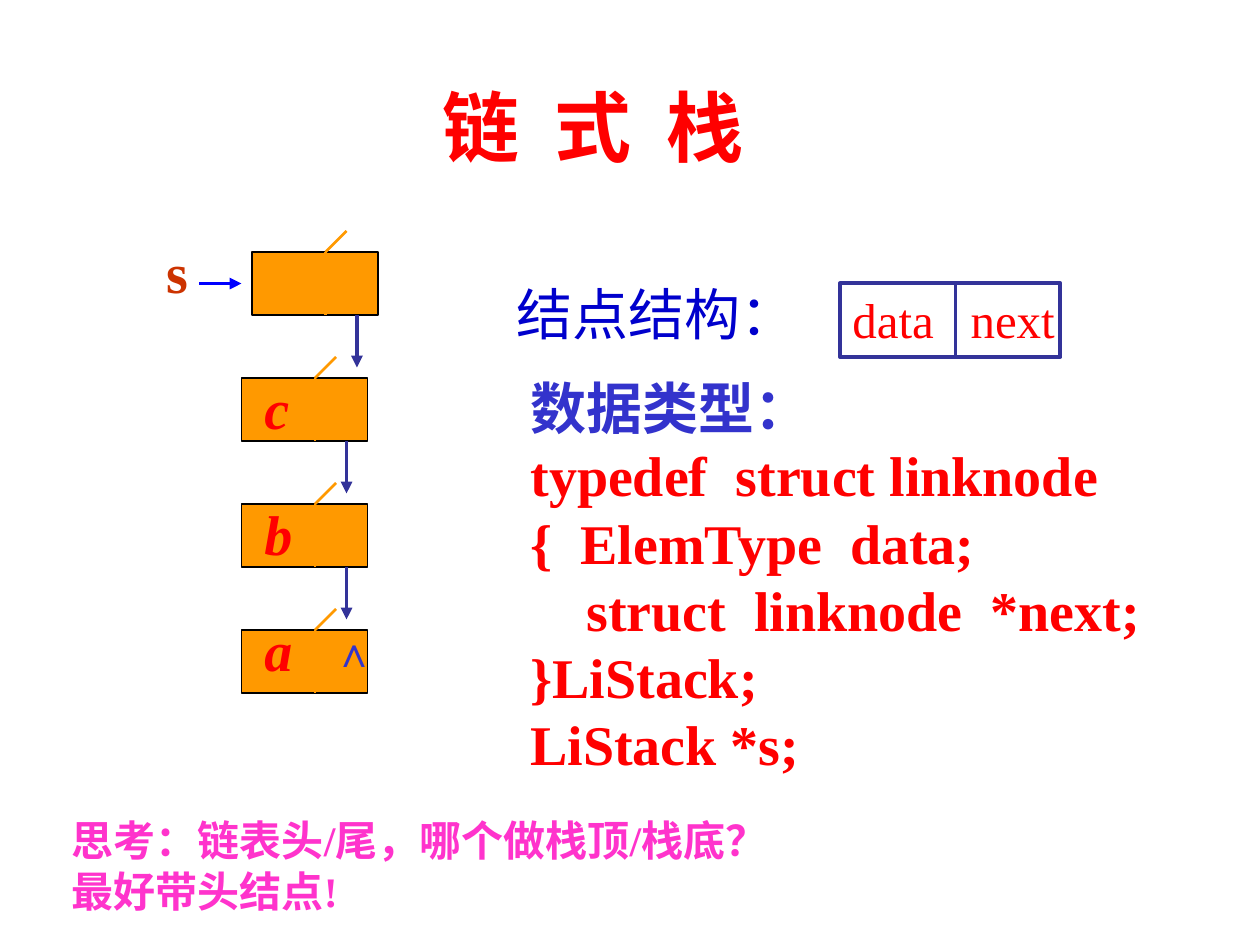
from pptx import Presentation
from pptx.dml.color import RGBColor
from pptx.enum.shapes import MSO_CONNECTOR, MSO_SHAPE
from pptx.enum.text import MSO_ANCHOR, PP_ALIGN
from pptx.oxml.ns import qn
from pptx.util import Pt
from lxml import etree

RECTANGLE = MSO_SHAPE.RECTANGLE
STRAIGHT = MSO_CONNECTOR.STRAIGHT
MIDDLE = MSO_ANCHOR.MIDDLE
CENTER = PP_ALIGN.CENTER

RED = RGBColor(0xFF, 0x00, 0x00)
MAGENTA = RGBColor(0xFF, 0x33, 0xCC)
MEDIUM_BLUE = RGBColor(0x00, 0x00, 0xCC)
BRIGHT_BLUE = RGBColor(0x00, 0x00, 0xFF)
INDIGO = RGBColor(0x33, 0x33, 0xCC)
NAVY = RGBColor(0x33, 0x33, 0x99)
RUST = RGBColor(0xCC, 0x33, 0x00)
ORANGE = RGBColor(0xFF, 0x99, 0x00)
BLACK = RGBColor(0x00, 0x00, 0x00)

SERIF = "Times New Roman"
SANS = "Arial"
CHINESE = "Noto Sans CJK SC"


def format_paragraph(paragraph, size, color, name=SERIF, bold=False, italic=False):
    font = paragraph.font
    font.size, font.name = Pt(size), name
    font.bold, font.italic = bold, italic
    font.color.rgb = color
    # East Asian typeface follows the Latin one
    latin = paragraph._p.pPr.find(qn("a:defRPr")).find(qn("a:latin"))
    east_asian = etree.Element(qn("a:ea"), typeface=CHINESE)
    latin.addnext(east_asian)


def add_text(slide, left, top, width, height, lines, size, color, **style):
    box = slide.shapes.add_textbox(Pt(left), Pt(top), Pt(width), Pt(height))
    frame = box.text_frame
    frame.word_wrap = True
    frame.text = "\n".join(lines)
    for paragraph in frame.paragraphs:
        format_paragraph(paragraph, size, color, **style)
    return frame


def add_line(slide, x1, y1, x2, y2, color, width, arrow=False):
    connector = slide.shapes.add_connector(STRAIGHT, Pt(x1), Pt(y1), Pt(x2), Pt(y2))
    connector.line.color.rgb = color
    connector.line.width = Pt(width)
    if arrow:
        etree.SubElement(connector.line._get_or_add_ln(), qn("a:tailEnd"), type="triangle")
    etree.SubElement(connector._element.spPr, qn("a:effectLst"))


def add_rectangle(slide, left, top, width, height, line_color, line_width, fill=None):
    shape = slide.shapes.add_shape(RECTANGLE, Pt(left), Pt(top), Pt(width), Pt(height))
    shape.shadow.inherit = False
    if fill is None:
        shape.fill.background()
    else:
        shape.fill.solid()
        shape.fill.fore_color.rgb = fill
    shape.line.color.rgb = line_color
    shape.line.width = Pt(line_width)


def place_title(slide, left, top, width, height):
    title = slide.shapes.title
    title.left, title.top, title.width, title.height = map(Pt, (left, top, width, height))
    frame = title.text_frame
    frame.text = "链 式 栈"
    frame.vertical_anchor = MIDDLE
    paragraph = frame.paragraphs[0]
    paragraph.alignment = CENTER
    format_paragraph(paragraph, 44, RED, CHINESE, bold=True)
    # Wide letter spacing, in hundredths of a point
    paragraph.runs[0].font._element.set("spc", "500")


def add_node(slide, left, top, width, height, linked):
    divider = left + 42
    add_rectangle(slide, left, top, width, height, BLACK, 0.75, ORANGE)
    add_line(slide, divider, top, divider, top + height, ORANGE, 1.5)
    add_line(slide, divider, top, divider + 12, top - 12, ORANGE, 1.5)
    if linked:
        pointer = left + 60
        add_line(slide, pointer, top + height, pointer, top + height + 30, NAVY, 2.25, arrow=True)


def add_linked_stack(slide, left, top, width, height):
    pitch = 72
    # Stack pointer and head node
    add_text(slide, left - 50, top - 12, 32, 46, ["s"], 32, RUST, bold=True)
    add_line(slide, left - 24, top + height / 2, left, top + height / 2, BRIGHT_BLUE, 2.25, arrow=True)
    add_node(slide, left + 6, top, width, height, linked=True)
    # Data nodes, each with its label and how far the label rises above the node
    for row, (label, rise) in enumerate((("c", 6), ("b", 6), ("a", 12)), start=1):
        node_top = top + row * pitch
        add_node(slide, left, node_top, width, height, linked=label != "a")
        add_text(slide, left + 6, node_top - rise, 32, 46, [label], 32, RED, bold=True, italic=True)
    # Null pointer of the last node
    add_text(slide, left + 45.6, top + 3 * pitch - 6, 24, 36, ["∧"], 24, INDIGO, name=SANS, bold=True)


def add_node_structure(slide, left, top, width, height):
    add_text(slide, left, top, 174, 46, ["结点结构："], 32, MEDIUM_BLUE)
    # Two-field node
    node_left, node_top = left + 192, top + 6
    divider = node_left + 66
    add_rectangle(slide, node_left, node_top, width - 192, height, NAVY, 2.25)
    add_line(slide, divider, node_top, divider, node_top + height, NAVY, 2.25)
    for field_left, field in ((node_left, "data"), (divider + 1.5, "next")):
        add_text(slide, field_left, node_top, 70, 41, [field], 28, RED)


def add_data_type(slide, left, top, width, height):
    lines = [
        "数据类型：",
        "typedef  struct linknode",
        "{  ElemType  data;",
        "struct  linknode  *next;",
        "}LiStack;",
        "LiStack *s;",
    ]
    frame = add_text(slide, left, top, width, height, lines, 32, RED, bold=True)
    frame.paragraphs[0].font.color.rgb = INDIGO
    # Indent the second field of the structure
    frame.paragraphs[3]._p.pPr.set("marL", str(Pt(32)))


def add_question(slide, left, top, width, height):
    lines = ["思考：链表头/尾，哪个做栈顶/栈底？", "最好带头结点!"]
    add_text(slide, left, top, width, height, lines, 24, MAGENTA, bold=True)


def main():
    presentation = Presentation()
    presentation.slide_width, presentation.slide_height = Pt(720), Pt(540)
    slide = presentation.slides.add_slide(presentation.slide_layouts[5])
    place_title(slide, 96, 42, 486, 60)
    add_question(slide, 34, 462, 440, 65)
    add_node_structure(slide, 288, 156, 318, 42)
    add_data_type(slide, 296, 210, 372, 238)
    add_linked_stack(slide, 138, 144, 72, 36)
    presentation.save("out.pptx")


if __name__ == "__main__":
    main()
